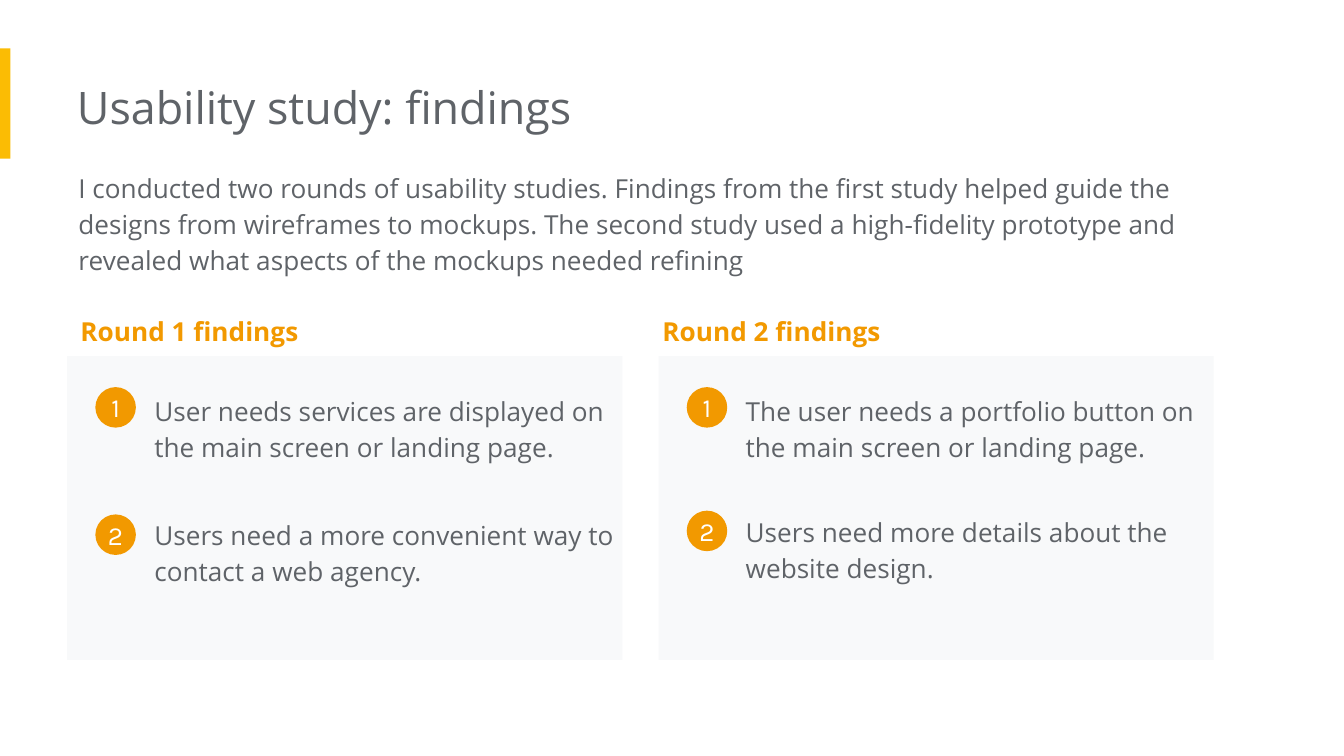
import pptx
import pptx.dml.color
import pptx.enum.shapes
import pptx.enum.text
import pptx.util

Pt = pptx.util.Pt
SHAPES = pptx.enum.shapes.MSO_SHAPE
ANCHOR = pptx.enum.text.MSO_ANCHOR
ALIGN = pptx.enum.text.PP_ALIGN

INTRO = (
    "I conducted two rounds of usability studies. Findings from the first study "
    "helped guide the designs from wireframes to mockups. The second study used a "
    "high-fidelity prototype and revealed what aspects of the mockups needed refining"
)

# Panel left, heading left, distance between findings, heading, findings
ROUNDS = [
    (36, 36, 66.4, "Round 1 findings", [
        "User needs services are displayed on the main screen or landing page.",
        "Users need a more convenient way to contact a web agency.",
    ]),
    (352.8, 347.8, 64.4, "Round 2 findings", [
        "The user needs a portfolio button on the main screen or landing page.",
        "Users need more details about the website design.",
    ]),
]


def color(value):
    return pptx.dml.color.RGBColor.from_string(value)


class FindingsSlide:
    font = "Open Sans"
    badge_font = "Karla"
    gray = "5F6368"
    orange = "F29900"
    yellow = "FBBC04"
    panel_fill = "F8F9FA"
    inset = 7.2

    def __init__(self, presentation):
        self.slide = presentation.slides.add_slide(presentation.slide_layouts[5])
        self.slide.background.fill.solid()
        self.slide.background.fill.fore_color.rgb = color("FFFFFF")

    def add_run(self, frame, text, size=14, font=None, fill=gray, bold=False):
        run = frame.paragraphs[0].add_run()
        run.text = text
        run.font.name = font or self.font
        run.font.size = Pt(size)
        run.font.bold = bold
        run.font.color.rgb = color(fill)

    def format_frame(self, frame, left_inset):
        frame.word_wrap = True
        frame.auto_size = pptx.enum.text.MSO_AUTO_SIZE.SHAPE_TO_FIT_TEXT
        frame.vertical_anchor = ANCHOR.TOP
        frame.margin_left = Pt(left_inset)
        frame.margin_top = frame.margin_right = frame.margin_bottom = Pt(self.inset)
        frame.paragraphs[0].alignment = ALIGN.LEFT

    def title(self, text, left, top, width, height):
        title = self.slide.shapes.title
        title.left, title.top = Pt(left), Pt(top)
        title.width, title.height = Pt(width), Pt(height)
        self.format_frame(title.text_frame, 0)
        title.text_frame.paragraphs[0].line_spacing = 1.0
        self.add_run(title.text_frame, text, size=24)

    def text(self, text, left, top, width, height, left_inset=inset, **style):
        box = self.slide.shapes.add_textbox(Pt(left), Pt(top), Pt(width), Pt(height))
        self.format_frame(box.text_frame, left_inset)
        box.text_frame.paragraphs[0].line_spacing = 1.15
        self.add_run(box.text_frame, text, **style)

    def block(self, kind, fill, left, top, width, height):
        shape = self.slide.shapes.add_shape(
            kind, Pt(left), Pt(top), Pt(width), Pt(height))
        shape.shadow.inherit = False
        shape.fill.solid()
        shape.fill.fore_color.rgb = color(fill)
        shape.line.fill.background()
        return shape

    def badge(self, number, left, top, size=21.7):
        shape = self.block(SHAPES.OVAL, self.orange, left, top, size, size)
        frame = shape.text_frame
        frame.margin_left = frame.margin_top = 0
        frame.margin_right = frame.margin_bottom = 0
        frame.vertical_anchor = ANCHOR.MIDDLE
        frame.paragraphs[0].alignment = ALIGN.CENTER
        self.add_run(frame, str(number), font=self.badge_font, fill="FFFFFF")

    def study_round(self, left, heading_left, step, heading, findings):
        self.text(heading, heading_left, 159.2, 262.8, 31.6,
                  fill=self.orange, bold=True)
        self.block(SHAPES.RECTANGLE, self.panel_fill, left, 190.8, 297.4, 162.7)
        for index, finding in enumerate(findings):
            self.text(finding, left + 39.6, 202.3 + index * step, 262.8, 53.2)
            self.badge(index + 1, left + 15.1, 207.4 + index * (step + 1.8))


def main():
    presentation = pptx.Presentation()
    presentation.slide_width = Pt(720)
    presentation.slide_height = Pt(405)
    page = FindingsSlide(presentation)

    # Accent bar, title and introduction
    page.block(SHAPES.RECTANGLE, page.yellow, 0, 25.9, 5.6, 59.2)
    page.title("Usability study: findings", 41.2, 35.3, 484.6, 43.9)
    page.text(INTRO, 42, 82.8, 619.9, 72.7, left_inset=0)

    # One panel for each round of the study
    for details in ROUNDS:
        page.study_round(*details)

    presentation.save("out.pptx")


if __name__ == "__main__":
    main()
